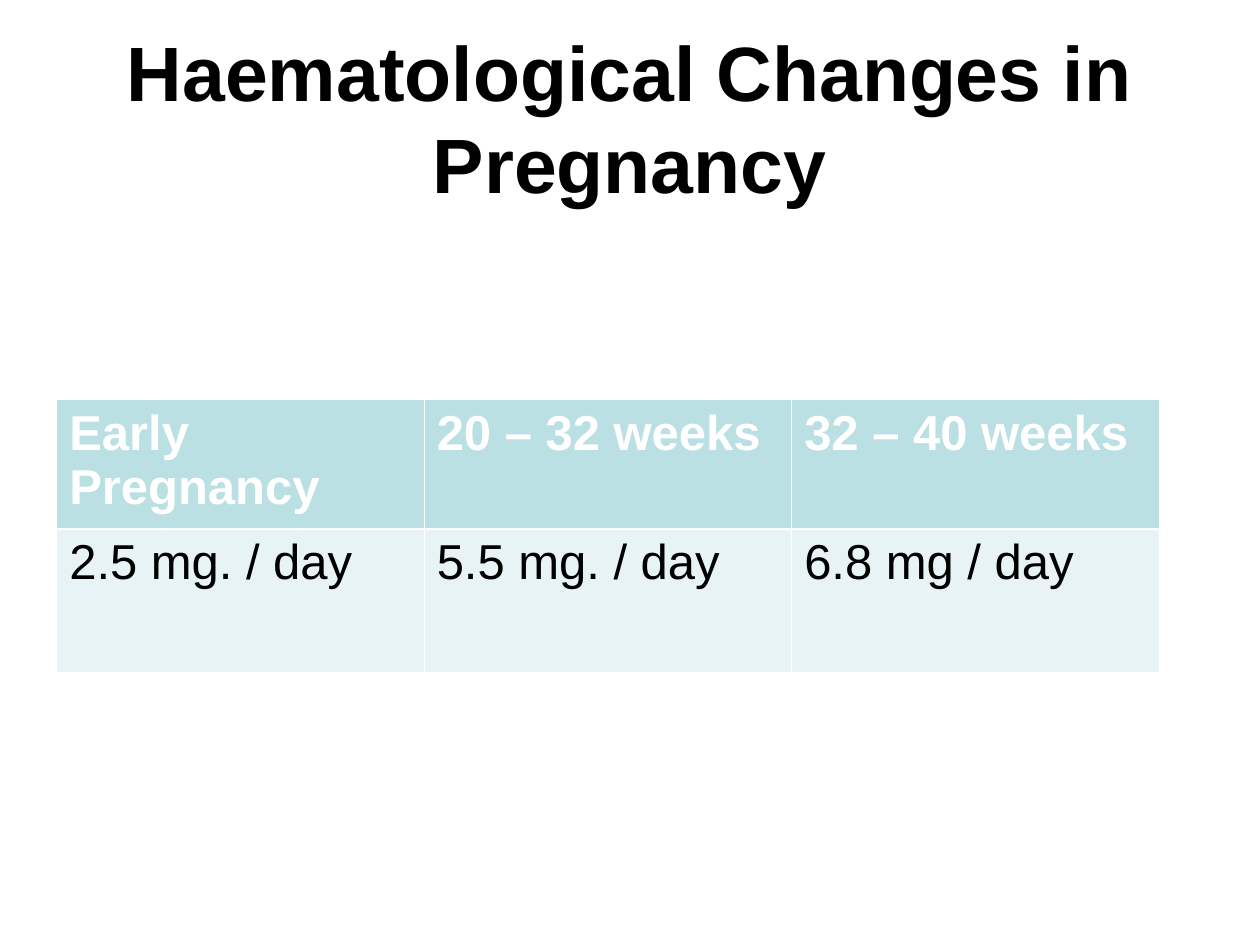
import pptx
import pptx.dml.color
import pptx.enum.text
import pptx.oxml
import pptx.oxml.ns
import pptx.util
from pptx.util import Inches

WHITE, BLACK = "FFFFFF", "000000"
HEADER_FILL, BODY_FILL = "BBE0E3", "E7F3F4"
THIN, THICK = 0.45, 1.47

DOSES = [
    ["Early Pregnancy", "20 – 32 weeks", "32 – 40 weeks"],
    ["2.5 mg. / day", "5.5 mg. / day", "6.8 mg / day"],
]


def color(hex_string):
    return pptx.dml.color.RGBColor.from_string(hex_string)


def write_text(text_frame, text, size, hex_color=BLACK, bold=False,
               align=pptx.enum.text.PP_ALIGN.LEFT):
    paragraph = text_frame.paragraphs[0]
    paragraph.alignment = align
    run = paragraph.add_run()
    run.text = text
    run.font.name = "Arial"
    run.font.size = pptx.util.Pt(size)
    run.font.bold = bold
    run.font.color.rgb = color(hex_color)


def set_borders(cell, **widths):
    """Draw white borders; keys are the sides L, R, T and B in schema order."""
    properties = cell._tc.get_or_add_tcPr()
    for index, (side, width) in enumerate(widths.items()):
        line = pptx.oxml.parse_xml(
            f'<a:ln{side} {pptx.oxml.ns.nsdecls("a")} w="{pptx.util.Pt(width)}">'
            f'<a:solidFill><a:srgbClr val="{WHITE}"/></a:solidFill></a:ln{side}>')
        properties.insert(index, line)


def add_title(slide, text, left, top, width, height):
    title = slide.shapes.title
    title.left, title.top, title.width, title.height = left, top, width, height
    text_frame = title.text_frame
    text_frame.word_wrap = True
    text_frame.auto_size = pptx.enum.text.MSO_AUTO_SIZE.NONE
    text_frame.vertical_anchor = pptx.enum.text.MSO_ANCHOR.MIDDLE
    write_text(text_frame, text, 44, bold=True,
               align=pptx.enum.text.PP_ALIGN.CENTER)


def add_dose_table(slide, rows, row_heights, left, top, width):
    table = slide.shapes.add_table(
        len(rows), len(rows[0]), left, top, width, sum(row_heights)).table
    for row, height in zip(table.rows, row_heights):
        row.height = height
    for row_index, texts in enumerate(rows):
        header = row_index == 0
        for column_index, text in enumerate(texts):
            cell = table.cell(row_index, column_index)
            cell.fill.solid()
            cell.fill.fore_color.rgb = color(HEADER_FILL if header else BODY_FILL)
            set_borders(cell, L=THIN, R=THIN, T=THIN if header else THICK,
                        B=THICK if header else THIN)
            write_text(cell.text_frame, text, 28,
                       hex_color=WHITE if header else BLACK, bold=header)


def main():
    presentation = pptx.Presentation()
    presentation.slide_width = Inches(10)
    presentation.slide_height = Inches(7.5)
    slide = presentation.slides.add_slide(presentation.slide_layouts[5])
    slide.background.fill.solid()
    slide.background.fill.fore_color.rgb = color(WHITE)
    add_title(slide, "Haematological Changes in Pregnancy",
              Inches(0.5), Inches(0.3), Inches(9), Inches(1.25))
    add_dose_table(slide, DOSES, [Inches(1.03), Inches(1.14)],
                   Inches(0.45), Inches(3.17), Inches(8.75))
    presentation.save("out.pptx")


if __name__ == "__main__":
    main()
